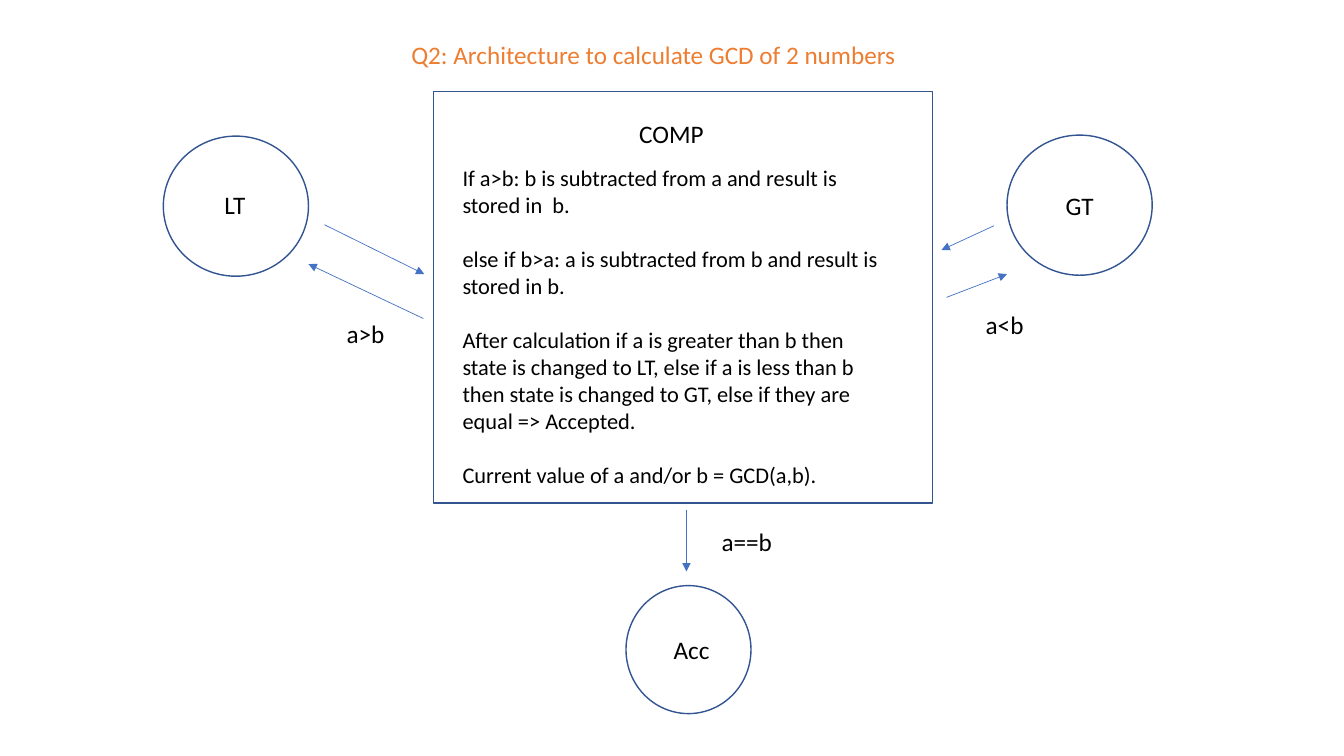
from dataclasses import dataclass

from lxml import etree
from pptx import Presentation
from pptx import util as u
from pptx.dml.color import RGBColor
from pptx.enum import shapes, text
from pptx.oxml.ns import qn

COLS, ROWS = 133.33, 75
MID, LEFT = text.PP_ALIGN.CENTER, text.PP_ALIGN.LEFT


@dataclass(frozen=True)
class Theme:
    font: str = "Calibri"
    ink: str = "000000"
    paper: str = "FFFFFF"
    edge: str = "325491"
    arrow: str = "4472C4"
    accent: str = "ED7D31"
    label: float = 18
    body: float = 16
    gap: float = 19.5
    thick: float = 1
    thin: float = 0.5


class Board:
    """Draws on one slide; every length counts grid columns or rows."""

    def __init__(self, deck, theme):
        self.theme = theme
        self.slide = deck.slides.add_slide(deck.slide_layouts[5])
        self.items = self.slide.shapes
        self.col = deck.slide_width / COLS
        self.row = deck.slide_height / ROWS

    def place(self, x, y):
        return round(x * self.col), round(y * self.row)

    def letter(self, frame, lines, size, color, align):
        """Sets one paragraph per line in the text frame."""
        frame.word_wrap = True
        frame.auto_size = text.MSO_AUTO_SIZE.NONE
        frame.vertical_anchor = text.MSO_ANCHOR.TOP
        for i, line in enumerate(lines):
            para = frame.paragraphs[0] if i == 0 else frame.add_paragraph()
            para.alignment = align
            para.line_spacing = 1.0
            para.space_before = u.Pt(self.theme.gap if i else 0)
            run = para.add_run()
            run.text = line
            run.font.name = self.theme.font
            run.font.size = u.Pt(size)
            run.font.color.rgb = RGBColor.from_string(color)

    def title(self, line, x, y, w, h):
        head = self.items.title
        head.left, head.top = self.place(x, y)
        head.width, head.height = self.place(w, h)
        self.letter(head.text_frame, [line], self.theme.label,
                    self.theme.accent, LEFT)

    def note(self, lines, x, y, w, h=4, size=None, align=LEFT):
        box = self.items.add_textbox(*self.place(x, y), *self.place(w, h))
        self.letter(box.text_frame, lines, size or self.theme.label,
                    self.theme.ink, align)

    def block(self, kind, x, y, w, h):
        item = self.items.add_shape(kind, *self.place(x, y), *self.place(w, h))
        item.shadow.inherit = False
        item.fill.solid()
        item.fill.fore_color.rgb = RGBColor.from_string(self.theme.paper)
        item.line.color.rgb = RGBColor.from_string(self.theme.edge)
        item.line.width = u.Pt(self.theme.thick)

    def state(self, name, x, y, w, h, tag):
        """Draws a circle and its name, centred in a box at tag."""
        self.block(shapes.MSO_SHAPE.OVAL, x, y, w, h)
        self.note([name], *tag, 12.4, align=MID)

    def arrow(self, start, end):
        link = self.items.add_connector(
            shapes.MSO_CONNECTOR.STRAIGHT, *self.place(*start), *self.place(*end))
        link.line.color.rgb = RGBColor.from_string(self.theme.arrow)
        link.line.width = u.Pt(self.theme.thin)
        props = link.element.spPr
        etree.SubElement(props.find(qn("a:ln")), qn("a:tailEnd"),
                         type="triangle")
        etree.SubElement(props, qn("a:effectLst"))


RULES = [
    "If a>b: b is subtracted from a and result is stored in  b.",
    "else if b>a: a is subtracted from b and result is stored in b.",
    "After calculation if a is greater than b then state is changed to LT, "
    "else if a is less than b then state is changed to GT, "
    "else if they are equal => Accepted.",
    "Current value of a and/or b = GCD(a,b).",
]
STATES = [
    ("LT", 16.2, 13.5, 14.4, 13.9, (17.1, 18.3)),
    ("GT", 99.9, 13.4, 14.4, 13.9, (100.9, 18.4)),
    ("Acc", 62.1, 58.1, 12.4, 12.7, (62.4, 62.4)),
]
ARROWS = [
    ((93.9, 29.5), (99.9, 27.2)),
    ((42, 31.6), (30.6, 26.2)),
    ((68.1, 50.6), (68.1, 56.7)),
    ((32.2, 22.3), (42.1, 27.2)),
    ((98.6, 22.4), (93.4, 24.8)),
]
TESTS = [("a>b", 33.4, 31.1), ("a<b", 96.8, 30.2), ("a==b", 70.6, 51.7)]


def main():
    deck = Presentation()
    deck.slide_width, deck.slide_height = u.Inches(13.33), u.Inches(7.5)
    theme = Theme()
    board = Board(deck, theme)
    board.title("Q2: Architecture to calculate GCD of 2 numbers",
                39.8, 3.4, 56, 4)
    for state in STATES:
        board.state(*state)
    board.block(shapes.MSO_SHAPE.RECTANGLE, 43, 9.1, 49.5, 40.8)
    board.note(["COMP"], 60.4, 11.2, 12.4, align=MID)
    board.note(RULES, 44.9, 15.8, 43.5, 36.4, theme.body)
    for start, end in ARROWS:
        board.arrow(start, end)
    for test, x, y in TESTS:
        board.note([test], x, y, 8)
    deck.save("out.pptx")


if __name__ == "__main__":
    main()
